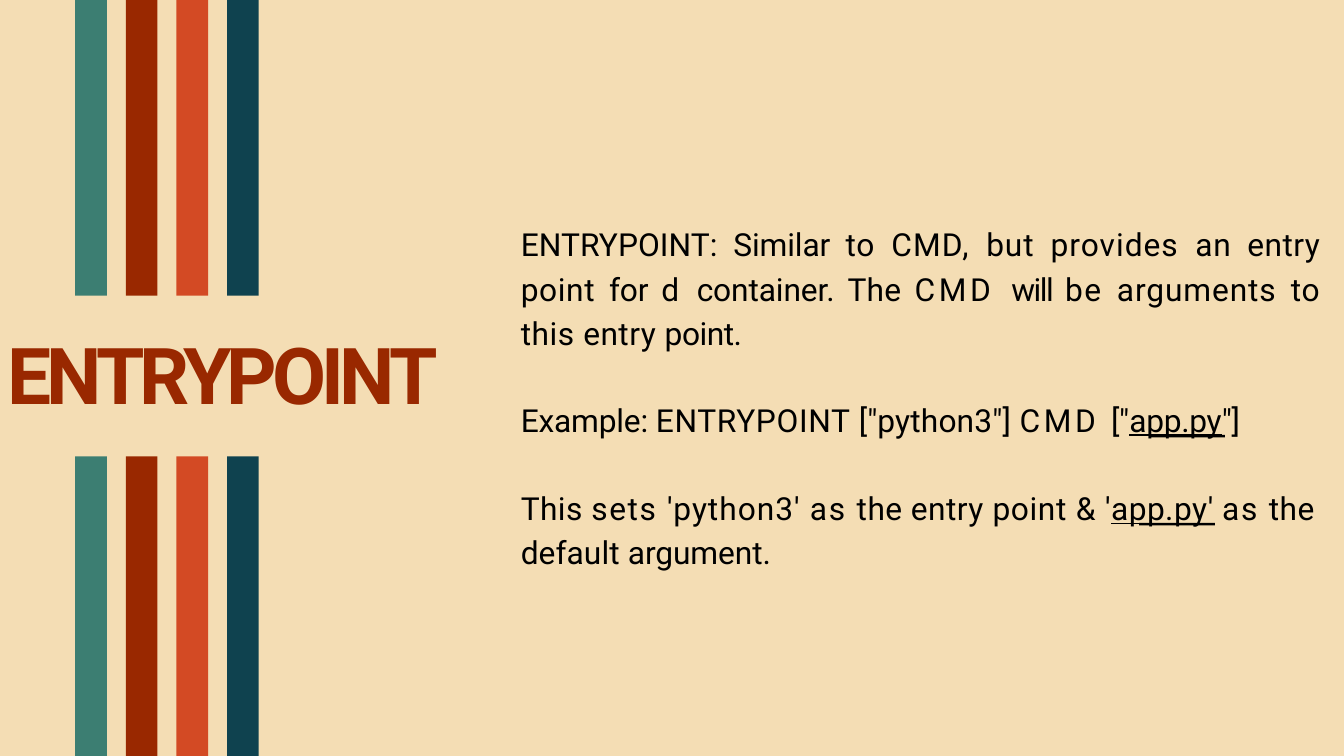
from dataclasses import dataclass
from typing import NamedTuple, Optional

from pptx import Presentation
from pptx import util as u
from pptx.dml.color import RGBColor
from pptx.enum import shapes, text
from pptx.slide import Slide

WIDTH, HEIGHT = 20, 11.25


@dataclass(frozen=True)
class Theme:
    font: str = "Roboto"
    sand: str = "F4DDB4"
    teal: str = "3C7E72"
    rust: str = "992800"
    orange: str = "D34A24"
    navy: str = "0F424F"
    ink: str = "000000"
    heading_size: int = 84
    body_size: int = 34


THEME = Theme()


class Box(NamedTuple):
    left: float
    top: float
    width: float
    height: float

    def lengths(self) -> tuple:
        return tuple(u.Inches(side) for side in self)


class Piece(NamedTuple):
    words: str
    spacing: float
    underlined: bool = False


@dataclass(frozen=True)
class Passage:
    box: Box
    pieces: tuple[Piece, ...]
    space_before: float
    size: int = THEME.body_size
    color: str = THEME.ink
    bold: bool = False
    line_spacing: Optional[float] = None
    align: text.PP_ALIGN = text.PP_ALIGN.LEFT


STRIPE_LEFT, STRIPE_STEP, STRIPE_WIDTH = 1.12, 0.7533, 0.47
STRIPE_COLORS = (THEME.teal, THEME.rust, THEME.orange, THEME.navy)
GAP_TOP, GAP_BOTTOM = 4.4, 6.79
STRIPE_BANDS = ((0, GAP_TOP), (GAP_BOTTOM, HEIGHT))

BODY_LEFT, BODY_WIDTH = 7.75, 11.9
UNDERLINE_WIDTH, UNDERLINE_HEIGHT = 1.13, 0.04
UNDERLINES = ((17.1, 6.47), (16.95, 7.78))

HEADING = Passage(
    Box(0.11, 4.85, 7.12, 1.43), (Piece("ENTRYPOINT", -5.2),),
    space_before=1, size=THEME.heading_size, color=THEME.rust, bold=True)

DEFINITION = Passage(
    Box(BODY_LEFT, 3.25, BODY_WIDTH, 1.99),
    (Piece("ENTRYPOINT: ", 0.1), Piece("Similar ", -0.1), Piece("to ", 0.8),
     Piece("CMD, ", 1.3), Piece("but ", 0.9), Piece("provides ", 1.1),
     Piece("an ", 0.7), Piece("entry ", 0.5), Piece("point ", 0.7),
     Piece("for ", -0.1), Piece("d ", 2.5), Piece("container. ", -0.1),
     Piece("The ", 0.3), Piece("CMD ", 3.9), Piece("will ", -1.6),
     Piece("be ", 1.6), Piece("arguments ", 1), Piece("to ", 0.8),
     Piece("this ", 0.6), Piece("entry ", 0.5), Piece("point.", -0.5)),
    space_before=0.9, line_spacing=1.16, align=text.PP_ALIGN.JUSTIFY)

EXAMPLE = Passage(
    Box(BODY_LEFT, 5.95, 10.78, 0.6),
    (Piece("Example: ", -0.2), Piece("ENTRYPOINT ", 0.7),
     Piece('["python3"] ', 0.2), Piece("CMD ", 3.9), Piece('["', -0.3),
     Piece("app.py", -0.3, True), Piece('"]', -0.3)),
    space_before=1.1)

EXPLANATION = Passage(
    Box(BODY_LEFT, 7.17, BODY_WIDTH, 1.34),
    (Piece("This ", 0.5), Piece("sets ", 1.7), Piece("'python3' ", 1.1),
     Piece("as ", 1.9), Piece("the entry ", 0.5), Piece("point ", 0.7),
     Piece("& ", 0.9), Piece("'", 0.5), Piece("app.py", 0.5, True),
     Piece("' ", 0.5), Piece("as ", 1.9), Piece("the ", 0.5),
     Piece("default ", 0.1), Piece("argument.", -0.1)),
    space_before=0.9, line_spacing=1.16)


def draw_bar(slide: Slide, box: Box, color: str) -> None:
    bar = slide.shapes.add_shape(shapes.MSO_SHAPE.RECTANGLE, *box.lengths())
    bar.shadow.inherit = False
    bar.fill.solid()
    bar.fill.fore_color.rgb = RGBColor.from_string(color)
    bar.line.fill.background()


def draw_stripes(slide: Slide) -> None:
    for top, bottom in STRIPE_BANDS:
        for column, color in enumerate(STRIPE_COLORS):
            left = STRIPE_LEFT + column * STRIPE_STEP
            draw_bar(slide, Box(left, top, STRIPE_WIDTH, bottom - top), color)


def write_passage(slide: Slide, passage: Passage) -> None:
    frame = slide.shapes.add_textbox(*passage.box.lengths()).text_frame
    frame.word_wrap = True
    frame.margin_left = frame.margin_right = frame.margin_bottom = 0
    frame.margin_top = u.Inches(0.01)
    paragraph = frame.paragraphs[0]
    paragraph.alignment = passage.align
    paragraph.space_before = u.Pt(passage.space_before)
    paragraph.line_spacing = passage.line_spacing
    paragraph.font.name = THEME.font
    paragraph.font.size = u.Pt(passage.size)
    paragraph.font.bold = passage.bold
    paragraph.font.color.rgb = RGBColor.from_string(passage.color)
    for piece in passage.pieces:
        run = paragraph.add_run()
        run.text = piece.words
        if piece.underlined:
            run.font.underline = True
        run._r.get_or_add_rPr().set("spc", str(round(piece.spacing * 100)))


def main() -> None:
    deck = Presentation()
    deck.slide_width, deck.slide_height = u.Inches(WIDTH), u.Inches(HEIGHT)
    slide = deck.slides.add_slide(deck.slide_layouts[6])
    slide.background.fill.solid()
    slide.background.fill.fore_color.rgb = RGBColor.from_string(THEME.sand)
    draw_stripes(slide)
    for left, top in UNDERLINES:
        draw_bar(slide, Box(left, top, UNDERLINE_WIDTH, UNDERLINE_HEIGHT), THEME.ink)
    for passage in (HEADING, DEFINITION, EXAMPLE, EXPLANATION):
        write_passage(slide, passage)
    deck.save("out.pptx")


if __name__ == "__main__":
    main()
